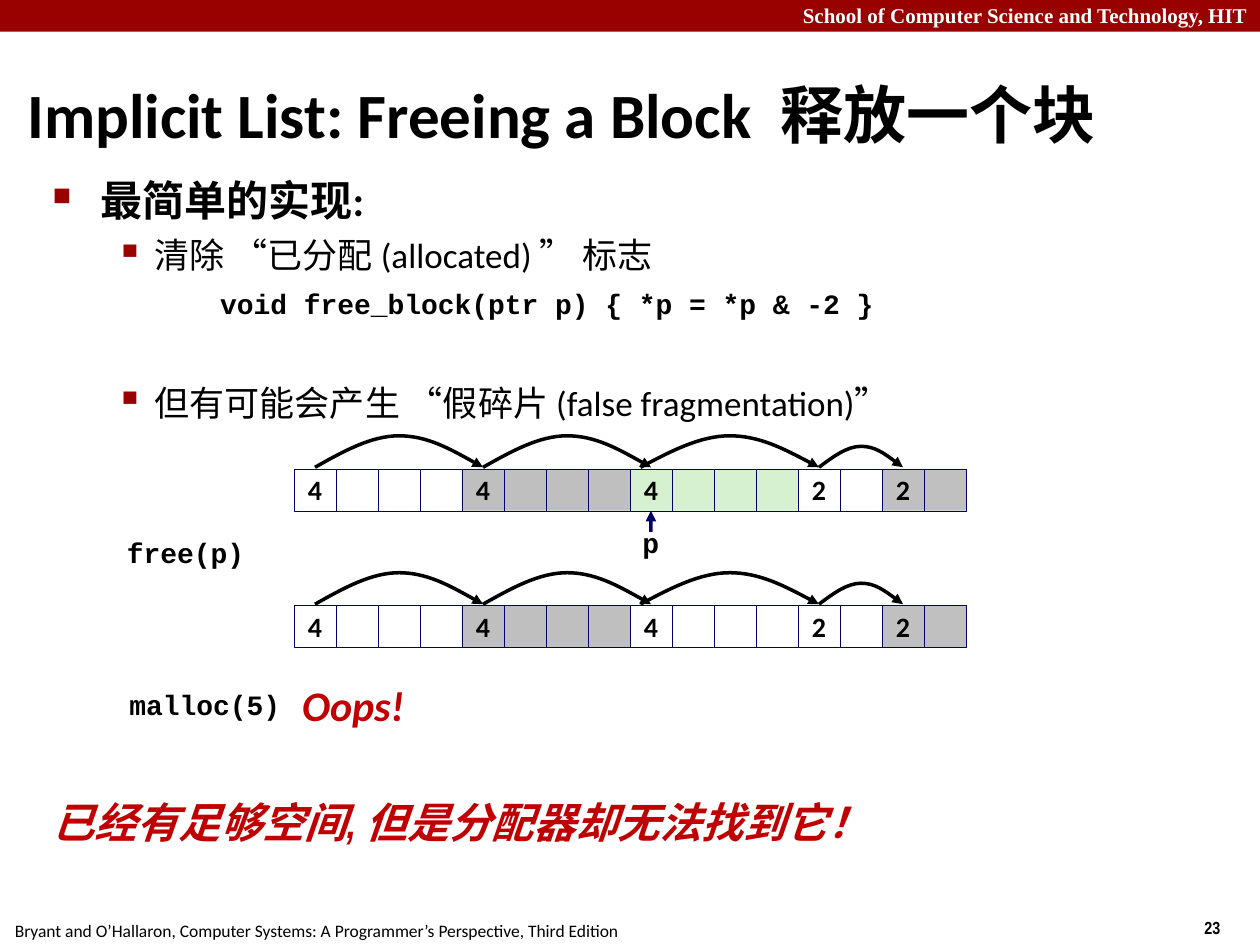
from lxml.etree import SubElement
from pptx import Presentation
from pptx.dml.color import RGBColor
from pptx.enum.shapes import MSO_CONNECTOR as Connector, MSO_SHAPE as Shape
from pptx.enum.text import MSO_ANCHOR as Anchor, MSO_AUTO_SIZE as AutoSize, PP_ALIGN as Align
from pptx.oxml.ns import qn
from pptx.util import Cm, Pt

COLORS = {
    "band": "990000", "alert": "C00000", "text": "000000", "white": "FFFFFF",
    "edge": "000066", "used": "BFBFBF", "last": "C0C0C0", "freed": "D5F1CF",
}
RGB = {name: RGBColor.from_string(value) for name, value in COLORS.items()}


def style(paragraph, size, face="Calibri", color="text", bold=True, italic=False):
    font = paragraph.font
    font.size, font.name, font.bold, font.italic = Pt(size), face, bold, italic
    font.color.rgb = RGB[color]


def label(text, left, top, width, height, *look, wrap=False, align=Align.LEFT):
    box = slide.shapes.add_textbox(Cm(left), Cm(top), Cm(width), Cm(height))
    frame = box.text_frame
    frame.word_wrap = wrap
    frame.auto_size = AutoSize.SHAPE_TO_FIT_TEXT
    frame.text = text
    frame.paragraphs[0].alignment = align
    style(frame.paragraphs[0], *look)


deck = Presentation()
deck.slide_width, deck.slide_height = Cm(25.4), Cm(19.05)
slide = deck.slides.add_slide(deck.slide_layouts[5])

band = slide.shapes.add_shape(Shape.RECTANGLE, 0, 0, deck.slide_width, Cm(0.64))
band.shadow.inherit = False
band.fill.solid()
band.fill.fore_color.rgb = RGB["band"]
band.line.fill.background()
label("School of Computer Science and Technology, HIT", 0, -0.08, 25.4, 0.76,
      12, "Times New Roman", "white", wrap=True, align=Align.RIGHT)
label("Bryant and O’Hallaron, Computer Systems: A Programmer’s Perspective, Third Edition",
      0.05, 18.42, 12.73, 0.69, 10, "Calibri", "text", False)
label("23", 24.03, 18.36, 1.9, 0.69, 10, "Arial Narrow")

title = slide.shapes.title
title.left, title.top, title.width, title.height = Cm(0.3), Cm(1.49), Cm(24.66), Cm(1.6)
title.text_frame.text = "Implicit List: Freeing a Block  释放一个块"
title.text_frame.auto_size = AutoSize.NONE
title.text_frame.vertical_anchor = Anchor.MIDDLE
title.text_frame.paragraphs[0].alignment = Align.LEFT
style(title.text_frame.paragraphs[0], 36)

points = [
    ("最简单的实现:", 0, 0.97, 0.97, "■", 60, 6, (24,)),
    ("清除 “已分配 (allocated) ” 标志", 1, 2.06, 0.79, "▪", 110, 5, (20, "Calibri", "text", False)),
    ("void free_block(ptr p) { *p = *p & -2 }", 2, 3.38, 0, None, 0, 6, (16, "Courier New")),
    ("但有可能会产生 “假碎片 (false fragmentation)”", 1, 2.06, 0.79, "▪", 110, 35,
     (20, "Calibri", "text", False)),
]
body = slide.shapes.add_textbox(Cm(0.81), Cm(3.4), Cm(23.09), Cm(12.07)).text_frame
body.word_wrap = True
for index, (text, level, margin, hang, bullet, percent, before, look) in enumerate(points):
    point = body.add_paragraph() if index else body.paragraphs[0]
    point.text = text
    point.level = level
    point.space_before = Pt(before)
    properties = point._p.get_or_add_pPr()
    properties.set("marL", str(Cm(margin)))
    properties.set("indent", str(-Cm(hang)))
    if bullet:
        bullet_color = SubElement(properties, qn("a:buClr"))
        SubElement(bullet_color, qn("a:srgbClr"), val=COLORS["band"])
        SubElement(properties, qn("a:buSzPct"), val=str(percent * 1000))
        SubElement(properties, qn("a:buChar"), char=bullet)
    style(point, *look)

CELL = Cm(2.54) / 3
HEAP_LEFT = 7 * CELL
BLOCK_SIZES = [4, 4, 4, 2, 2]
ARCS = [(0.5, 4.5, 0.75), (4.5, 8.5, 0.75), (8.25, 12.5, 0.75), (12.5, 14.5, 0.5)]
ARC_CURVE = [(1 / 6, 0.5), (1 / 3, 1), (1 / 2, 1), (2 / 3, 1), (5 / 6, 0.5), (1, 0)]
heaps = [
    (Cm(9.45), ["white", "used", "freed", "white", "last"]),
    (Cm(12.21), ["white", "used", "white", "white", "last"]),
]
block_heads = []
for top, fills in heaps:
    column = 0
    for size, fill in zip(BLOCK_SIZES, fills):
        for offset in range(size):
            cell = slide.shapes.add_shape(Shape.RECTANGLE, round(HEAP_LEFT + column * CELL), top,
                                          round(CELL), round(CELL))
            cell.shadow.inherit = False
            cell.fill.solid()
            cell.fill.fore_color.rgb = RGB[fill]
            cell.line.color.rgb = RGB["edge"]
            cell.line.width = Pt(0.25)
            if offset == 0:
                block_heads.append(cell)
                cell.text_frame.word_wrap = False
                cell.text_frame.vertical_anchor = Anchor.MIDDLE
                cell.text_frame.text = str(size)
                cell.text_frame.paragraphs[0].alignment = Align.CENTER
                style(cell.text_frame.paragraphs[0], 16)
            column += 1
    base = top - Cm(0.03)
    for start, end, rise in ARCS:
        x = HEAP_LEFT + start * CELL
        builder = slide.shapes.build_freeform(round(x), base)
        builder.add_line_segments(
            [(round(x + across * (end - start) * CELL), round(base - up * rise * CELL))
             for across, up in ARC_CURVE], close=False)
        arc = builder.convert_to_shape()
        outline = arc._element.xpath(".//a:path")[0]
        segments = outline.findall(qn("a:lnTo"))
        for first in (0, 3):
            curve = SubElement(outline, qn("a:cubicBezTo"))
            for segment in segments[first:first + 3]:
                curve.append(segment[0])
                outline.remove(segment)
        arc.shadow.inherit = False
        arc.fill.background()
        arc.line.color.rgb = RGB["text"]
        arc.line.width = Pt(2)
        SubElement(arc.line._get_or_add_ln(), qn("a:tailEnd"), type="triangle")

label("free(p)", 2.31, 10.67, 2.87, 0.89, 16, "Courier New")
label("p", 12.7, 10.47, 0.85, 0.89, 16, "Courier New")
pointer = slide.shapes.add_connector(Connector.STRAIGHT, Cm(13.12), Cm(10.72), Cm(13.12), Cm(10.3))
pointer.end_connect(block_heads[2], 2)
pointer.line.color.rgb = RGB["edge"]
pointer.line.width = Pt(2)
SubElement(pointer.line._get_or_add_ln(), qn("a:tailEnd"), type="triangle")
SubElement(pointer._element.spPr, qn("a:effectLst"))

label("malloc(5)", 2.36, 13.74, 3.8, 0.89, 16, "Courier New")
label("Oops!", 5.84, 13.58, 2.57, 1.3, 24, "Calibri", "alert", True, True)
label("已经有足够空间, 但是分配器却无法找到它！", 0.81, 15.93, 22.83, 2.29,
      24, "Arial Narrow", "alert", True, True, wrap=True)

deck.save("out.pptx")
